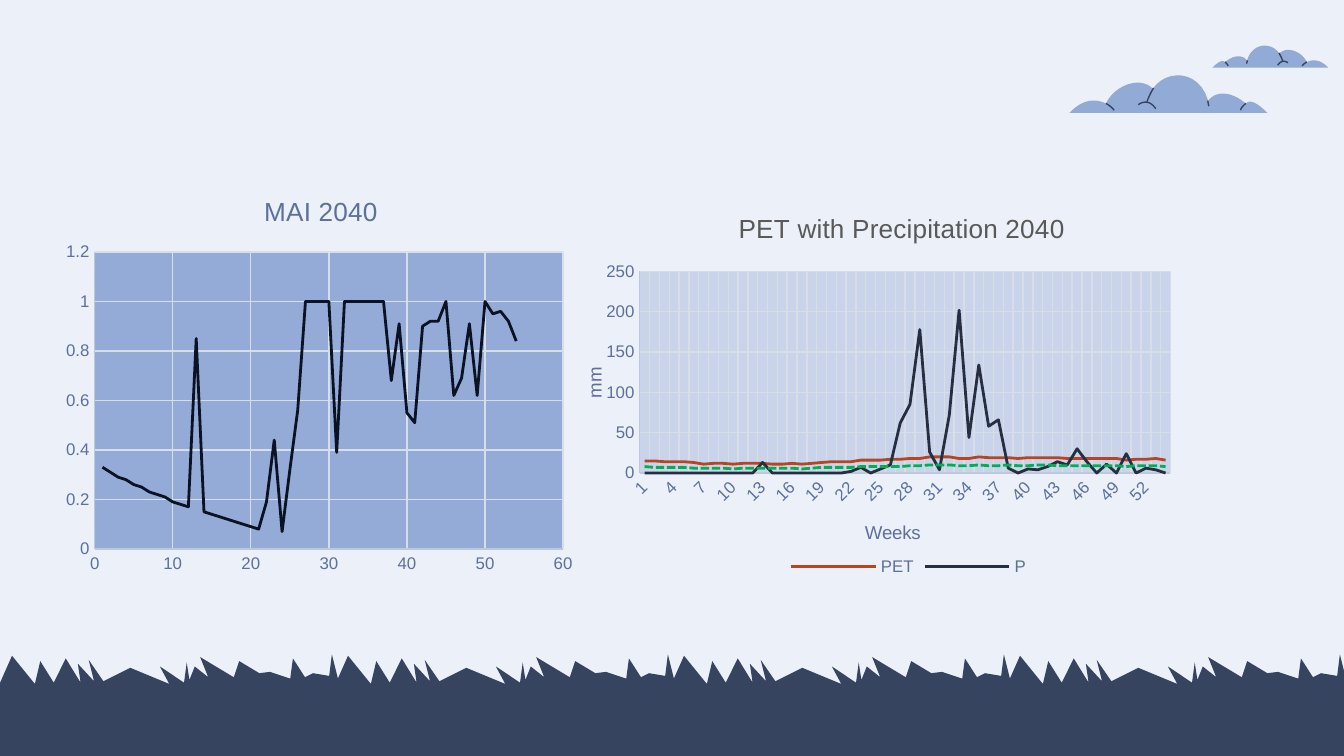
from lxml import etree
from pptx import Presentation
from pptx.chart.data import CategoryChartData, XyChartData
from pptx.dml.color import RGBColor
from pptx.enum.chart import XL_CHART_TYPE, XL_LEGEND_POSITION, XL_TICK_MARK
from pptx.enum.dml import MSO_LINE
from pptx.enum.shapes import MSO_SHAPE
from pptx.oxml import parse_xml
from pptx.oxml.ns import nsdecls, qn
from pptx.util import Pt

SKY = RGBColor(0xEC, 0xF0, 0xF8)
NAVY = RGBColor(0x36, 0x44, 0x5F)
CLOUD_BLUE = RGBColor(0x92, 0xAA, 0xD6)
SLATE = RGBColor(0x5B, 0x70, 0x9B)
GRAY = RGBColor(0x59, 0x59, 0x59)
AXIS_LINE = RGBColor(0xBF, 0xC8, 0xD9)
GRID = RGBColor(0xD8, 0xDE, 0xE8)
MAI_PLOT = RGBColor(0x94, 0xAA, 0xD7)
PET_PLOT = RGBColor(0xC9, 0xD4, 0xEB)
INK = RGBColor(0x0A, 0x12, 0x23)
RUST = RGBColor(0xB6, 0x46, 0x22)
DARK = RGBColor(0x26, 0x2F, 0x41)
GREEN = RGBColor(0x00, 0xB0, 0x50)
FONT = "Arial"

UNIT = 0.72  # points in one drawing unit of the grass and clouds
GRASS_PITCH = 180
GRASS = [
    (252, 20), (247, 0), (245, 16), (233, 14), (227, 17), (218, 3), (216, 18), (201, 13),
    (193, 14), (178, 5), (174, 17), (149, 2), (155, 17), (145, 9), (141, 19), (139, 6),
    (137, 21), (119, 9), (126, 22), (97, 10), (77, 20), (66, 4), (70, 20), (58, 7),
    (60, 21), (49, 3), (40, 21), (30, 5), (26, 22), (9, 1), (-3, 28), (253, 28)]

CLOUD_WIDTH = 147
CLOUD_CURVES = [
    [(147, 28), (139, 20), (134, 18), (131, 21)],
    [(131, 21), (119, 11), (108, 12), (103, 19)],
    [(103, 19), (96, -5), (71, -4), (62, 10)],
    [(62, 10), (52, 0), (33, 8), (27, 21)],
    [(27, 21), (19, 17), (9, 18), (0, 28)]]
CLOUD_CREASES = [
    [(27, 21), (27, 21), (31, 23), (33, 26)],
    [(62.5, 9.5), (62, 10), (59, 15), (57.5, 20)],
    [(102.5, 19), (103, 20), (103, 22), (103.5, 23)],
    [(51, 22), (55, 19), (60, 19), (64, 25)],
    [(131, 21), (131, 21), (128, 23), (127, 26)]]

WEEKS = range(1, 55)
MAI = [
    0.33, 0.31, 0.29, 0.28, 0.26, 0.25, 0.23, 0.22, 0.21, 0.19, 0.18, 0.17, 0.85, 0.15,
    0.14, 0.13, 0.12, 0.11, 0.1, 0.09, 0.08, 0.19, 0.44, 0.07, 0.32, 0.56, 1, 1, 1, 1,
    0.39, 1, 1, 1, 1, 1, 1, 0.68, 0.91, 0.55, 0.51, 0.9, 0.92, 0.92, 1, 0.62, 0.69,
    0.91, 0.62, 1, 0.95, 0.96, 0.92, 0.84]
WATER_SERIES = {
    "PET": [
        15, 15, 14, 14, 14, 13, 11, 12, 12, 11, 12, 12, 12, 11, 11, 12, 11, 12, 13, 14, 14,
        14, 16, 16, 16, 17, 17, 18, 18, 20, 20, 20, 18, 18, 20, 19, 19, 19, 18, 19, 19, 19,
        19, 18, 18, 18, 18, 18, 18, 16, 17, 17, 18, 16],
    "P": [
        0, 0, 0, 0, 0, 0, 0, 0, 0, 0, 0, 0, 13, 0, 0, 0, 0, 0, 0, 0, 0, 2, 7, 0, 5, 10, 62,
        85, 178, 26, 4, 72, 202, 44, 134, 58, 66, 6, 0, 5, 4, 8, 14, 10, 30, 14, 0, 11, 0,
        24, 0, 6, 4, 0],
    "Half PET": [
        8, 7, 7, 7, 7, 6, 6, 6, 6, 5, 6, 6, 6, 6, 6, 6, 5, 6, 7, 7, 7, 7, 8, 8, 8, 8, 8, 9,
        9, 10, 10, 10, 9, 9, 10, 9, 9, 10, 9, 9, 10, 10, 9, 9, 9, 9, 9, 9, 9, 8, 9, 9, 9, 8]}


def bezier(curve, steps=12):
    """Return points along a cubic curve."""
    weights = [((1 - t) ** 3, 3 * t * (1 - t) ** 2, 3 * t * t * (1 - t), t ** 3)
               for t in (step / steps for step in range(steps + 1))]
    return [tuple(sum(w * point[axis] for w, point in zip(weight, curve)) for axis in (0, 1))
            for weight in weights]


def add_outline(slide, points, fill=None, line=None):
    """Draw points given in pt, closed when filled and open when lined."""
    points = [(Pt(x), Pt(y)) for x, y in points]
    builder = slide.shapes.build_freeform(*points[0])
    builder.add_line_segments(points[1:], close=fill is not None)
    shape = builder.convert_to_shape()
    shape.shadow.inherit = False
    if fill is None:
        shape.fill.background()
        shape.line.color.rgb = line
        shape.line.width = Pt(0.75)
    else:
        shape.fill.solid()
        shape.fill.fore_color.rgb = fill
        shape.line.fill.background()


def add_ground(slide, left, top, width, height):
    soil = slide.shapes.add_shape(
        MSO_SHAPE.RECTANGLE, Pt(left), Pt(top + 18), Pt(width), Pt(height - 18))
    soil.shadow.inherit = False
    soil.fill.solid()
    soil.fill.fore_color.rgb = NAVY
    soil.line.fill.background()
    for tile in range(width // GRASS_PITCH):
        start = left + tile * GRASS_PITCH
        add_outline(slide, [(start + x * UNIT, top + y * UNIT) for x, y in GRASS], fill=NAVY)


def add_cloud(slide, left, top, width, mirrored=False):
    scale = width / CLOUD_WIDTH

    def place(points):
        return [(left + scale * (CLOUD_WIDTH - x if mirrored else x), top + scale * y)
                for x, y in points]

    outline = [point for curve in CLOUD_CURVES for point in bezier(curve)]
    add_outline(slide, place(outline), fill=CLOUD_BLUE)
    for crease in CLOUD_CREASES:
        add_outline(slide, place(bezier(crease)), line=NAVY)


def set_layout(element, index, **values):
    """Fix a chart part's place as fractions of the chart; index is where c:layout belongs."""
    layout = element.find(qn("c:layout"))
    if layout is None:
        layout = parse_xml(f"<c:layout {nsdecls('c')}/>")
        element.insert(index, layout)
    for child in list(layout):
        layout.remove(child)
    manual = etree.SubElement(layout, qn("c:manualLayout"))
    if "w" in values:
        etree.SubElement(manual, qn("c:layoutTarget")).set("val", "inner")
    for name in ("x", "y"):
        etree.SubElement(manual, qn(f"c:{name}Mode")).set("val", "edge")
    for name, value in values.items():
        etree.SubElement(manual, qn(f"c:{name}")).set("val", str(value))


def write_title(owner, text, *, size, color, position=None):
    """Title a chart or an axis."""
    owner.has_title = True
    title = owner.chart_title if hasattr(owner, "chart_title") else owner.axis_title
    paragraph = title.text_frame.paragraphs[0]
    run = paragraph.add_run()
    run.text = text
    font = run.font
    font.name, font.size, font.bold = FONT, Pt(size), False
    font.color.rgb = color
    if position:
        set_layout(title._element, 1, x=position[0], y=position[1])


def style_font(font, size, color):
    font.name, font.size = FONT, Pt(size)
    font.color.rgb = color


def style_axis(axis):
    axis.major_tick_mark = axis.minor_tick_mark = XL_TICK_MARK.NONE
    axis.has_major_gridlines = True
    for line, color in ((axis.format.line, AXIS_LINE), (axis.major_gridlines.format.line, GRID)):
        line.color.rgb = color
        line.width = Pt(0.75)
    style_font(axis.tick_labels.font, 9, SLATE)


def add_styled_chart(slide, kind, data, box, plot_fill, plot_box, colors):
    chart = slide.shapes.add_chart(kind, *map(Pt, box), data).chart
    style_font(chart.font, 10, DARK)
    chart.has_legend = False
    for axis in (chart.category_axis, chart.value_axis):
        style_axis(axis)
    for series, color in zip(chart.plots[0].series, colors):
        series.smooth = False
        series.format.line.color.rgb = color
        series.format.line.width = Pt(1.5)
    chart.plots[0].vary_by_categories = False
    plot_area = chart._chartSpace.chart.plotArea
    set_layout(plot_area, 0, **dict(zip("xywh", plot_box)))
    plot_area.append(parse_xml(
        f'<c:spPr {nsdecls("c", "a")}><a:solidFill><a:srgbClr val="{plot_fill}"/>'
        '</a:solidFill></c:spPr>'))
    return chart


def add_mai_chart(slide, *box):
    data = XyChartData()
    series = data.add_series("MAI 2040")
    for week, value in zip(WEEKS, MAI):
        series.add_data_point(week, value)
    chart = add_styled_chart(slide, XL_CHART_TYPE.XY_SCATTER_LINES_NO_MARKERS, data, box,
                             MAI_PLOT, (0.07, 0.19, 0.89, 0.73), [INK])
    write_title(chart, "MAI 2040", size=14, color=SLATE)
    chart.category_axis.minimum_scale, chart.category_axis.maximum_scale = 0, 60
    chart.value_axis.minimum_scale, chart.value_axis.maximum_scale = 0, 1.2


def add_precipitation_chart(slide, *box):
    data = CategoryChartData()
    data.categories = [str(week) for week in WEEKS]
    for name, values in WATER_SERIES.items():
        data.add_series(name, values)
    chart = add_styled_chart(slide, XL_CHART_TYPE.LINE, data, box, PET_PLOT,
                             (0.1, 0.23, 0.79, 0.5), [RUST, DARK, GREEN])
    chart.plots[0].series[2].format.line.dash_style = MSO_LINE.SQUARE_DOT
    write_title(chart, "PET with Precipitation 2040", size=14, color=GRAY, position=(0.24, 0.07))
    write_title(chart.category_axis, "Weeks", size=10, color=SLATE, position=(0.43, 0.84))
    write_title(chart.value_axis, "mm", size=10, color=SLATE, position=(0.01, 0.46))
    chart.value_axis.minimum_scale, chart.value_axis.maximum_scale = 0, 250
    labels = chart.category_axis._element.find(qn("c:txPr"))
    labels.find(qn("a:bodyPr")).set("rot", "-2700000")
    chart.has_legend = True
    chart.legend.position = XL_LEGEND_POSITION.BOTTOM
    chart.legend.include_in_layout = False
    style_font(chart.legend.font, 9, SLATE)
    chart.legend._element.insert(1, parse_xml(
        f'<c:legendEntry {nsdecls("c")}><c:idx val="2"/><c:delete val="1"/></c:legendEntry>'))


def main():
    presentation = Presentation()
    presentation.slide_width, presentation.slide_height = Pt(720), Pt(405)
    slide = presentation.slides.add_slide(presentation.slide_layouts[6])
    slide.background.fill.solid()
    slide.background.fill.fore_color.rgb = SKY
    add_ground(slide, 0, 350.6, 720, 54.4)
    add_cloud(slide, 573, 40.3, 106)
    add_cloud(slide, 649.5, 24.4, 62, mirrored=True)
    add_mai_chart(slide, 31, 93.6, 282, 218)
    add_precipitation_chart(slide, 306.7, 95.8, 360, 216)
    presentation.save("out.pptx")


if __name__ == "__main__":
    main()
